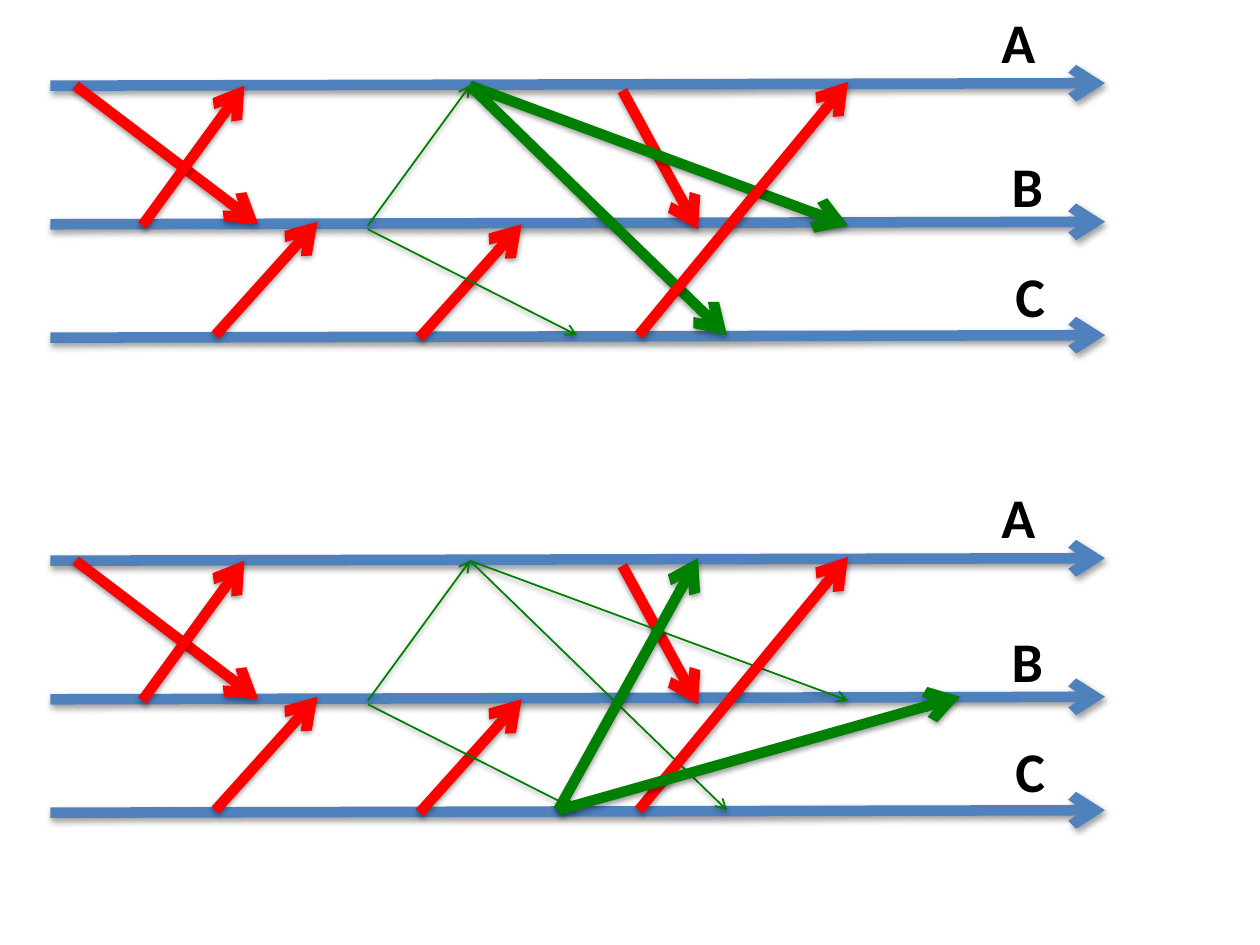
import pptx
import pptx.dml.color
import pptx.enum.shapes
import pptx.enum.text
import pptx.oxml
import pptx.oxml.ns
import pptx.util
from pptx.util import Inches

BLUE = pptx.dml.color.RGBColor(0x4F, 0x81, 0xBD)
RED = pptx.dml.color.RGBColor(0xFF, 0x00, 0x00)
GREEN = pptx.dml.color.RGBColor(0x00, 0x80, 0x00)
BLACK = pptx.dml.color.RGBColor(0x00, 0x00, 0x00)
THICK, THIN = 6, 1

NS = pptx.oxml.ns.nsdecls("a")
SHADOW = (
    f'<a:effectLst {NS}><a:outerShdw blurRad="40000" dist="20000" dir="5400000" '
    'rotWithShape="0"><a:srgbClr val="000000"><a:alpha val="38000"/></a:srgbClr>'
    '</a:outerShdw></a:effectLst>'
)
ARROWHEAD = f'<a:tailEnd {NS} type="arrow"/>'

# Positions are inches from the top left of a diagram.
# Process: name, height of its timeline's start, label left, label top
PROCESSES = [
    ("A", 0.68, 7.85, 0.01),
    ("B", 1.78, 7.93, 1.15),
    ("C", 2.68, 7.96, 2.03),
]
TIMELINE_LEFT, TIMELINE_RIGHT, TIMELINE_RISE = 0.4, 8.77, 0.02

# Message: start x, start y, end x, end y
EARLY_MESSAGES = [
    (0.6, 0.68, 2.05, 1.78),
    (4.94, 0.72, 5.54, 1.82),
    (1.13, 1.79, 1.94, 0.68),
    (1.71, 2.66, 2.52, 1.76),
    (3.33, 2.68, 4.14, 1.78),
]
LATE_MESSAGE = (5.07, 2.66, 6.73, 0.65)
MARKERS_FROM_B = [(2.92, 1.79, 3.73, 0.68), (2.92, 1.82, 4.58, 2.66)]
MARKERS_FROM_A = [(3.73, 0.68, 6.73, 1.79), (3.73, 0.68, 5.77, 2.66)]
MARKERS_FROM_C = [(4.43, 2.66, 5.54, 0.66), (4.43, 2.66, 7.62, 1.76)]


def add_arrow(slide, top, ends, color, width):
    x1, y1, x2, y2 = ends
    s = slide.shapes.add_connector(
        pptx.enum.shapes.MSO_CONNECTOR.STRAIGHT,
        Inches(x1), Inches(top + y1), Inches(x2), Inches(top + y2))
    s.line.color.rgb = color
    s.line.width = pptx.util.Pt(width)
    s.line._get_or_add_ln().append(pptx.oxml.parse_xml(ARROWHEAD))
    s._element.spPr.append(pptx.oxml.parse_xml(SHADOW))


def add_label(slide, left, top, text):
    s = slide.shapes.add_textbox(Inches(left), Inches(top), Inches(0.46), Inches(0.64))
    tf = s.text_frame
    tf.text = text
    tf.word_wrap = False
    tf.auto_size = pptx.enum.text.MSO_AUTO_SIZE.SHAPE_TO_FIT_TEXT
    font = tf.paragraphs[0].runs[0].font
    font.name = "Calibri"
    font.size = pptx.util.Pt(32)
    font.bold = True
    font.color.rgb = BLACK


def add_diagram(slide, top, past_markers, current_markers):
    """Draw three timelines, their messages and the markers; current ones are thick."""
    for name, y, label_left, label_top in PROCESSES:
        ends = (TIMELINE_LEFT, y, TIMELINE_RIGHT, y - TIMELINE_RISE)
        add_arrow(slide, top, ends, BLUE, THICK)
        add_label(slide, label_left, top + label_top, name)
    for ends in EARLY_MESSAGES:
        add_arrow(slide, top, ends, RED, THICK)
    for ends in past_markers:
        add_arrow(slide, top, ends, GREEN, THIN)
    # The late message crosses over the markers sent by A, under those sent by C.
    late_first = current_markers is MARKERS_FROM_C
    if late_first:
        add_arrow(slide, top, LATE_MESSAGE, RED, THICK)
    for ends in current_markers:
        add_arrow(slide, top, ends, GREEN, THICK)
    if not late_first:
        add_arrow(slide, top, LATE_MESSAGE, RED, THICK)


def main():
    prs = pptx.Presentation()
    prs.slide_width, prs.slide_height = Inches(10), Inches(7.5)
    slide = prs.slides.add_slide(prs.slide_layouts[6])
    add_diagram(slide, 0, MARKERS_FROM_B, MARKERS_FROM_A)
    add_diagram(slide, 3.77, MARKERS_FROM_B + MARKERS_FROM_A, MARKERS_FROM_C)
    prs.save("out.pptx")


if __name__ == "__main__":
    main()
